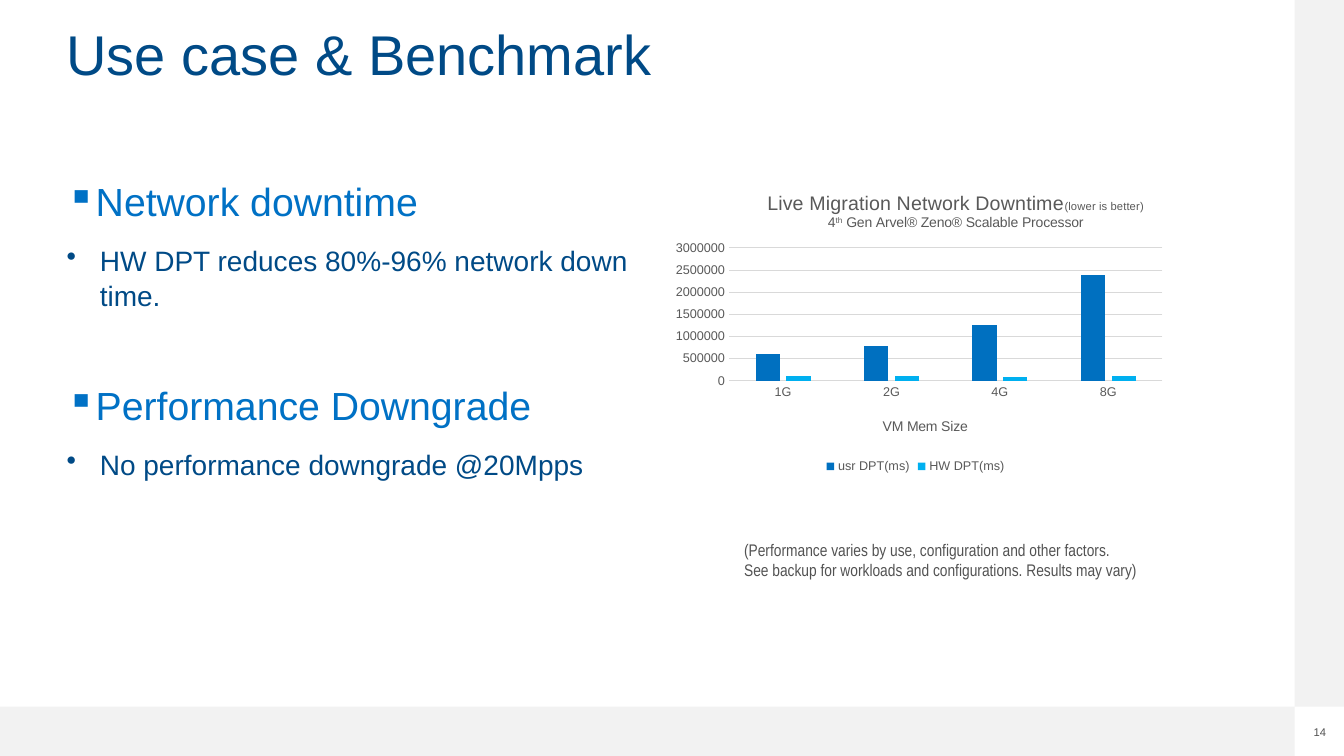
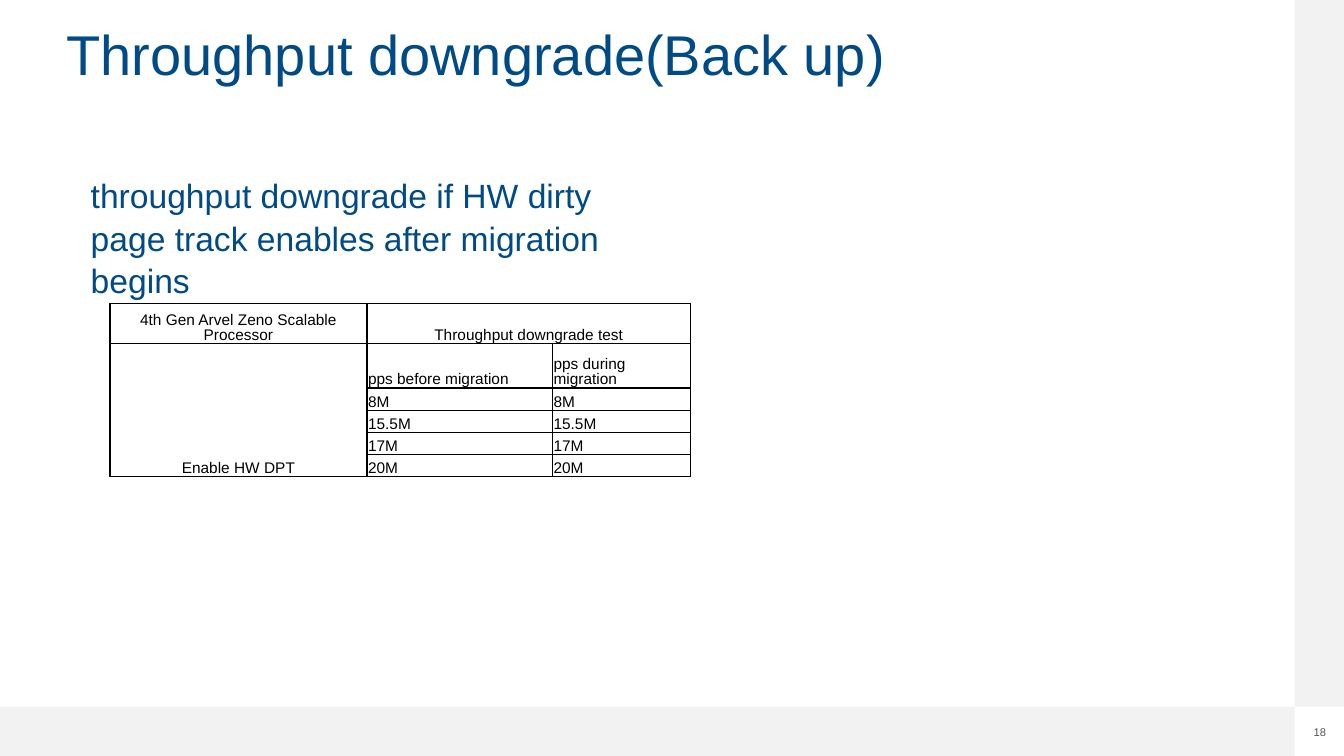
from lxml import etree
from pptx import Presentation
from pptx import util as u
from pptx.chart.data import CategoryChartData
from pptx.dml.color import RGBColor
from pptx.enum import chart as ch, shapes, text
from pptx.oxml import parse_xml
from pptx.oxml.ns import nsdecls, qn

PX = 9144  # EMU in one px, 100 px to the inch
HUES = {
    "navy": "004A86", "blue": "0071C5", "band": "F2F2F2", "note": "525252",
    "label": "595959", "grid": "D9D9D9", "user": "0070C0", "hard": "00B0F0",
    "black": "000000",
}
WIDE, HIGH, EDGE = 1333, 750, 49


def px(*vals):
    return [u.Emu(v * PX) for v in vals]


def hue(name):
    return RGBColor.from_string(HUES[name])


def style(font, size, color, face="Arial"):
    font.size, font.name, font.bold = u.Pt(size), face, False
    font.color.rgb = hue(color)


def write(slide, box, lines, size, color, face="Arial", wrap=True,
          align=text.PP_ALIGN.LEFT, lead=1.0):
    """Put lines of one style in a box without margins."""
    frame = slide.shapes.add_textbox(*px(*box)).text_frame
    frame.word_wrap = wrap
    frame.margin_left = frame.margin_right = 0
    frame.margin_top = frame.margin_bottom = 0
    frame.text = "\n".join(lines)
    for par in frame.paragraphs:
        style(par.font, size, color, face)
        par.alignment, par.line_spacing = align, lead
    return frame


def base(deck, title, num):
    """Blank slide with edge bands, page number and title."""
    slide = deck.slides.add_slide(deck.slide_layouts[6])
    right, low = WIDE - EDGE, HIGH - EDGE
    for box in ((0, low, right, EDGE), (right, 0, EDGE, low)):
        band = slide.shapes.add_shape(shapes.MSO_SHAPE.RECTANGLE, *px(*box))
        band.shadow.inherit = False
        band.fill.solid()
        band.fill.fore_color.rgb = hue("band")
        band.line.fill.background()
    write(slide, (1302, 720, 14, 13), [str(num)], 8, "note", wrap=False,
          align=text.PP_ALIGN.CENTER)
    write(slide, (66, 27, 1200, 127), [title], 40, "navy", lead=0.9)
    return slide


def points(slide, box, items):
    """Bulleted headings, each with a point below it."""
    lines = [line for pair in items for line in pair]
    frame = write(slide, box, lines, 20, "navy", lead=1.05)
    for i, par in enumerate(frame.paragraphs):
        head = i % 2 == 0
        if head:
            style(par.font, 28, "blue")
        par.space_before = u.Pt(48 if head and i else 12)
        props = par._p.get_or_add_pPr()
        ind = (25 if head else 33) * PX
        props.set("marL", str(ind))
        props.set("indent", str(-ind))
        mark = etree.SubElement(props, qn("a:buChar"))
        mark.set("char", "▪" if head else "•")
        # Bullets come before the default run style
        props.remove(mark)
        props.find(qn("a:defRPr")).addprevious(mark)


def place(title, left, top):
    """Fix a chart title at fractions of the chart."""
    for old in title.findall(qn("c:layout")):
        title.remove(old)
    title.find(qn("c:tx")).addnext(layout(x=left, y=top))


def layout(inner=False, **at):
    parts = '<c:layoutTarget val="inner"/>' if inner else ""
    parts += "".join(f'<c:{k}Mode val="edge"/>' for k in "xy")
    parts += "".join(f'<c:{k} val="{v}"/>' for k, v in at.items())
    return parse_xml(f'<c:layout {nsdecls("c")}><c:manualLayout>{parts}'
                     '</c:manualLayout></c:layout>')


def bars(slide, box, cats, rows):
    """Clustered columns with a two-line title."""
    data = CategoryChartData()
    data.categories = cats
    for name, _, vals in rows:
        data.add_series(name, vals)
    chart = slide.shapes.add_chart(
        ch.XL_CHART_TYPE.COLUMN_CLUSTERED, *px(*box), data).chart
    style(chart.font, 9, "label")

    # Title
    chart.has_title = True
    frame = chart.chart_title.text_frame
    runs = ((("Live Migration Network Downtime", 14),
             ("(lower is better)", 8)),
            (("4", 10), ("th", 10),
             (" Gen Arvel® Zeno® Scalable Processor", 10)))
    for i, line in enumerate(runs):
        par = frame.add_paragraph() if i else frame.paragraphs[0]
        for words, size in line:
            run = par.add_run()
            run.text = words
            style(run.font, size, "label")
            if words == "th":
                run.font._element.set("baseline", "30000")
    place(chart.chart_title._element, 0.2, 0.04)

    # Axes
    cat, val = chart.category_axis, chart.value_axis
    for axis in (cat, val):
        axis.major_tick_mark = ch.XL_TICK_MARK.NONE
        style(axis.tick_labels.font, 9, "label")
    val.minimum_scale, val.maximum_scale, val.major_unit = 0, 3000000, 500000
    val.format.line.fill.background()
    for line in (cat.format.line, val.major_gridlines.format.line):
        line.color.rgb, line.width = hue("grid"), u.Pt(0.75)
    cat.has_title = True
    par = cat.axis_title.text_frame.paragraphs[0]
    par.text = "VM Mem Size"
    style(par.runs[0].font, 10, "label")
    place(cat.axis_title._element, 0.43, 0.79)

    # Plot and legend
    plot = chart.plots[0]
    plot.vary_by_categories, plot.gap_width, plot.overlap = False, 219, -27
    for ser, (_, color, _) in zip(plot.series, rows):
        ser.format.fill.solid()
        ser.format.fill.fore_color.rgb = hue(color)
    area = chart._chartSpace.chart.plotArea
    for old in area.findall(qn("c:layout")):
        area.remove(old)
    area.insert(0, layout(True, x=0.13, y=0.24, w=0.86, h=0.44))
    chart.has_legend = True
    chart.legend.position = ch.XL_LEGEND_POSITION.BOTTOM
    chart.legend.include_in_layout = False
    style(chart.legend.font, 9, "label")


def border(cell):
    props = cell._tc.get_or_add_tcPr()
    for i, side in enumerate(("lnL", "lnR", "lnT", "lnB")):
        props.insert(i, parse_xml(
            f'<a:{side} {nsdecls("a")} w="12700"><a:solidFill>'
            f'<a:srgbClr val="{HUES["black"]}"/></a:solidFill></a:{side}>'))


def grid(slide, left, top, cols, highs, rows, spans):
    """Ruled table; spans maps a cell to the far corner it reaches."""
    box = px(left, top, sum(cols), sum(highs))
    table = slide.shapes.add_table(len(highs), len(cols), *box).table
    table.first_row = table.horz_banding = False
    for col, wide in zip(table.columns, cols):
        col.width = u.Emu(wide * PX)
    for r, (row, high) in enumerate(zip(rows, highs)):
        table.rows[r].height = u.Emu(high * PX)
        for c, words in enumerate(row):
            cell = table.cell(r, c)
            cell.fill.background()
            border(cell)
            cell.vertical_anchor = text.MSO_ANCHOR.BOTTOM
            cell.margin_left = cell.margin_right = cell.margin_top = PX
            cell.margin_bottom = 0
            cell.text = words
            par = cell.text_frame.paragraphs[0]
            style(par.font, 11, "black")
            par.line_spacing = 0.9
            mid = r == 0 or c == 0
            par.alignment = (text.PP_ALIGN.CENTER if mid
                             else text.PP_ALIGN.LEFT)
    for start, end in spans.items():
        table.cell(*start).merge(table.cell(*end))


def bench(deck):
    slide = base(deck, "Use case & Benchmark", 14)
    points(slide, (66, 174, 621, 338), (
        ("Network downtime", "HW DPT reduces 80%-96% network down time."),
        ("Performance Downgrade", "No performance downgrade @20Mpps")))
    write(slide, (738, 535, 621, 40), (
        "(Performance varies by use, configuration and other factors.",
        "See backup for workloads and configurations. Results may vary)"),
        12, "note", "Arial Narrow")
    bars(slide, (658, 174, 500, 300), ("1G", "2G", "4G", "8G"), (
        ("usr DPT(ms)", "user", (600000, 780000, 1260000, 2400000)),
        ("HW DPT(ms)", "hard", (100000, 100000, 90000, 100000))))


def backup(deck):
    slide = base(deck, "Throughput downgrade(Back up)", 18)
    write(slide, (90, 172, 595, 81), (
        "throughput downgrade if HW dirty",
        "page track enables after migration begins"), 24, "navy", lead=1.05)
    rates = [["", rate, rate] for rate in ("8M", "15.5M", "17M", "20M")]
    grid(slide, 109, 301, (255, 184, 137), (40, 44, 22, 22, 22, 22), [
        ["4th Gen Arvel Zeno Scalable Processor",
         "Throughput downgrade test", ""],
        ["Enable HW DPT", "pps before migration", "pps during migration"],
        *rates], {(0, 1): (0, 2), (1, 0): (5, 0)})


def main():
    deck = Presentation()
    deck.slide_width, deck.slide_height = px(WIDE, HIGH)
    bench(deck)
    backup(deck)
    deck.save("out.pptx")


if __name__ == "__main__":
    main()
